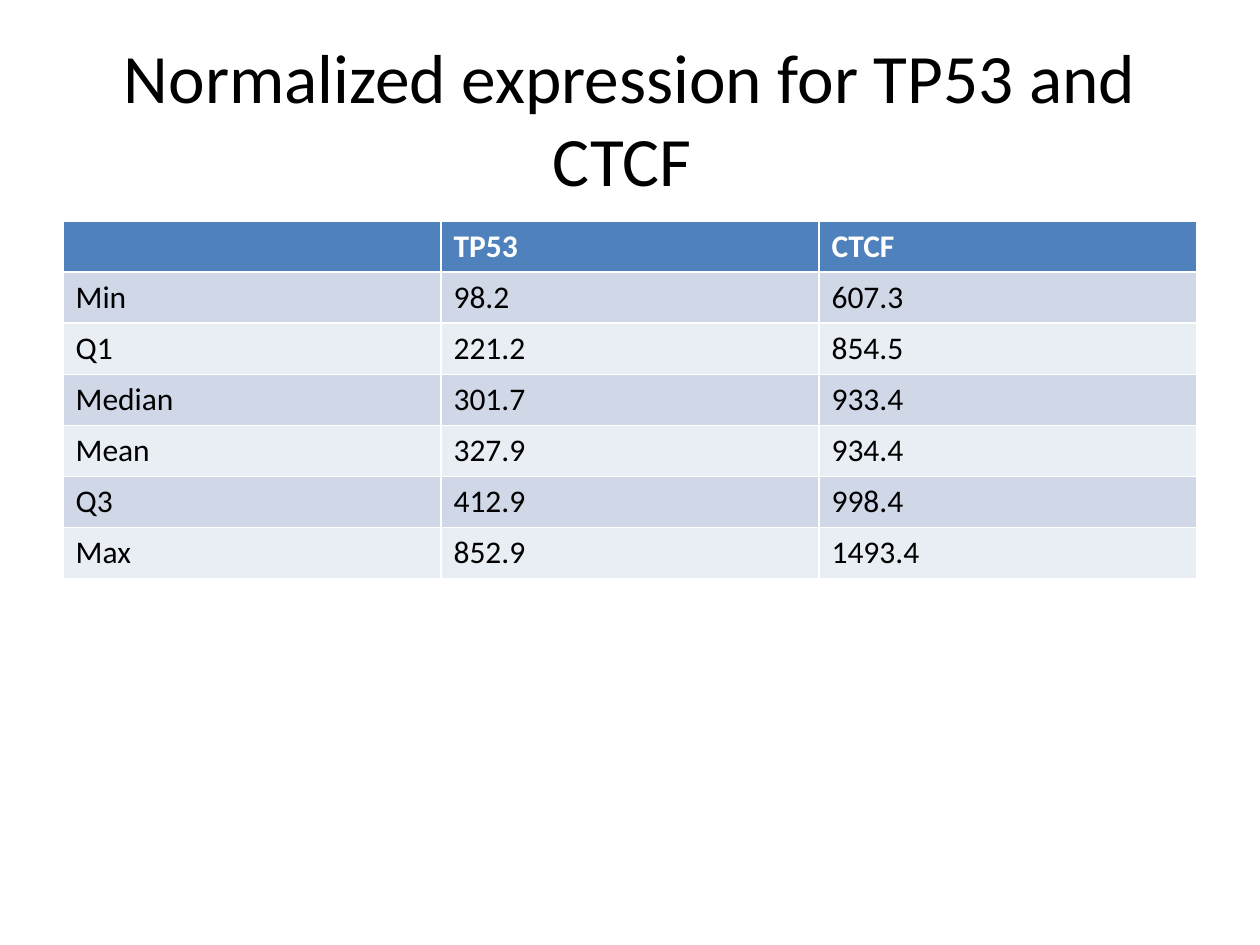
from dataclasses import dataclass

from pptx import Presentation
from pptx.dml.color import RGBColor
from pptx.enum.text import MSO_ANCHOR, MSO_AUTO_SIZE, PP_ALIGN
from pptx.util import Pt

CENTER = PP_ALIGN.CENTER
MIDDLE = MSO_ANCHOR.MIDDLE
NO_AUTOFIT = MSO_AUTO_SIZE.NONE
TITLE_ONLY = 5
PX_PER_INCH = 126
EMU_PER_INCH = 914400


@dataclass(frozen=True)
class Theme:
    font: str = "Calibri"
    title_size: float = 39.6
    table_size: float = 18
    text: str = "000000"
    header_text: str = "FFFFFF"
    header_fill: str = "4F81BD"
    band_fills: tuple = ("D0D8E8", "E9EDF4")


THEME = Theme()
TITLE = "Normalized expression for TP53 and CTCF "
EXPRESSION = [
    ("", "TP53", "CTCF"),
    ("Min", "98.2", "607.3"),
    ("Q1", "221.2", "854.5"),
    ("Median", "301.7", "933.4"),
    ("Mean", "327.9", "934.4"),
    ("Q3", "412.9", "998.4"),
    ("Max", "852.9", "1493.4"),
]


def px(n):
    return round(n * EMU_PER_INCH / PX_PER_INCH)


def format_font(font, size, color, bold=False):
    font.name = THEME.font
    font.size = Pt(size)
    font.bold = bold
    font.color.rgb = RGBColor.from_string(color)


def place_title(s, box, text):
    sp = s.shapes.title
    sp.left, sp.top, sp.width, sp.height = map(px, box)
    tf = sp.text_frame
    tf.text = text
    tf.word_wrap = True
    tf.auto_size = NO_AUTOFIT
    tf.vertical_anchor = MIDDLE
    p = tf.paragraphs[0]
    p.alignment = CENTER
    format_font(p.runs[0].font, THEME.title_size, THEME.text)


def place_table(s, box, rows):
    table = s.shapes.add_table(len(rows), len(rows[0]), *map(px, box)).table
    for i, row in enumerate(rows):
        header = i == 0
        fill = THEME.header_fill if header else THEME.band_fills[(i - 1) % 2]
        color = THEME.header_text if header else THEME.text
        for j, value in enumerate(row):
            cell = table.cell(i, j)
            cell.fill.solid()
            cell.fill.fore_color.rgb = RGBColor.from_string(fill)
            p = cell.text_frame.paragraphs[0]
            p.text = value
            format_font(p.font, THEME.table_size, color, header)
            for r in p.runs:
                format_font(r.font, THEME.table_size, color, header)


def main():
    prs = Presentation()
    prs.slide_width, prs.slide_height = px(1260), px(945)
    s = prs.slides.add_slide(prs.slide_layouts[TITLE_ONLY])
    place_title(s, (63, 38, 1134, 158), TITLE)
    place_table(s, (63, 221, 1134, 357), EXPRESSION)
    prs.save("out.pptx")


if __name__ == "__main__":
    main()
